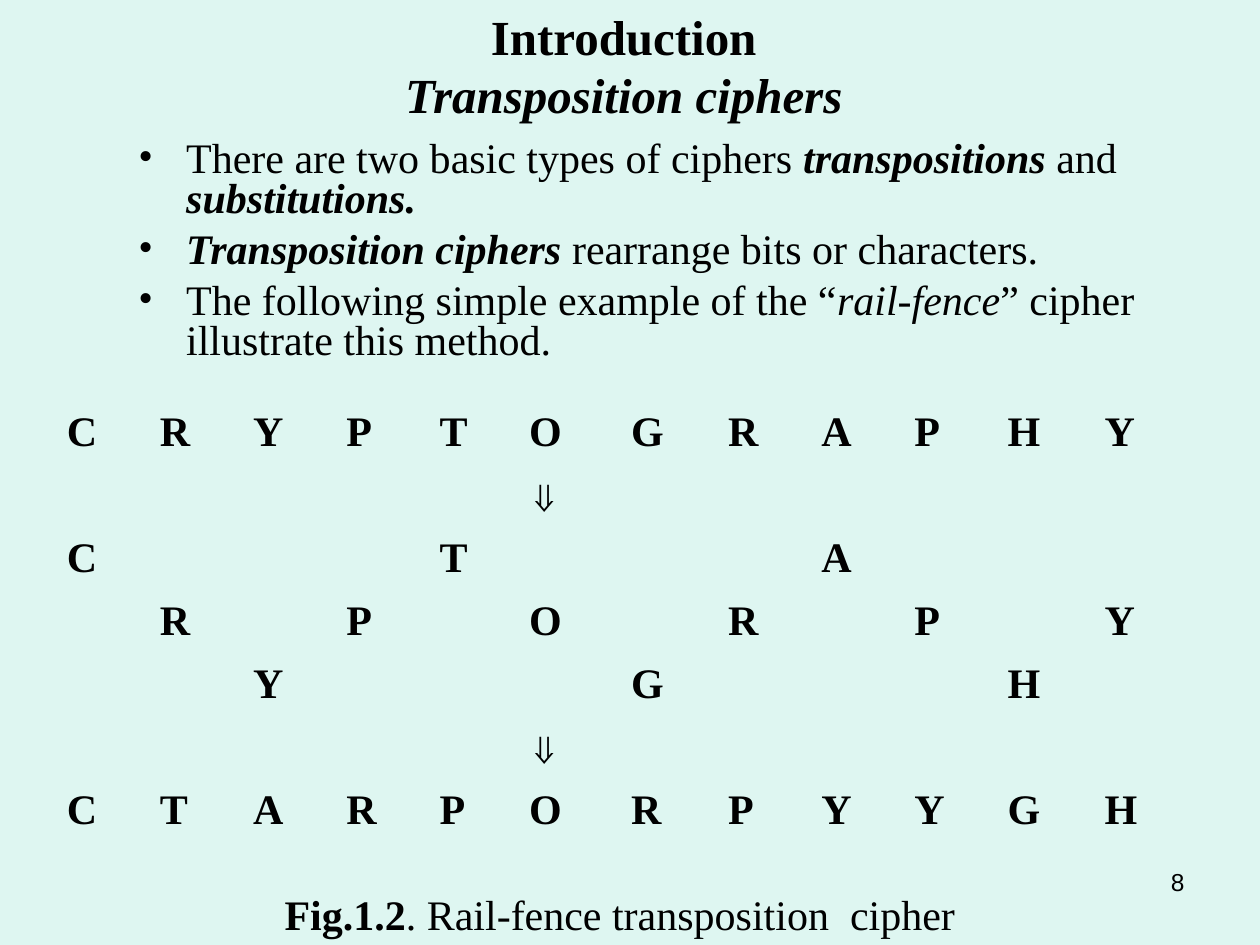
from dataclasses import dataclass

from lxml.etree import SubElement
from pptx import Presentation
from pptx.dml.color import RGBColor
from pptx.enum.text import MSO_ANCHOR, MSO_AUTO_SIZE, PP_ALIGN
from pptx.oxml.ns import qn
from pptx.util import Inches, Pt

BLACK = RGBColor(0x00, 0x00, 0x00)
MINT = RGBColor(0xDE, 0xF6, 0xF1)
SERIF, SANS = "Times New Roman", "Arial"
PLAIN_GRID = "{2D5ABB26-0587-4C30-8999-92F81FD0307C}"  # no style, no grid

WORD = "CRYPTOGRAPHY"
RAILS = 3
ARROW = "⇓"
ARROW_COL = 5
WIDTHS = [0.74] * 4 + [0.71, 0.81, 0.77] + [0.74] * 3 + [0.77] * 2
ROW_H = 0.5


@dataclass
class Span:
    text: str
    bold: bool = False
    italic: bool = False


@dataclass
class Box:
    left: float
    top: float
    width: float
    height: float


BULLETS = [
    [Span("There are two basic types of ciphers "),
     Span("transpositions", True, True), Span(" and "),
     Span("substitutions.", True, True)],
    [Span("Transposition ciphers ", True, True),
     Span("rearrange bits or characters.")],
    [Span("The following simple example of the “"),
     Span("rail-fence", italic=True),
     Span("” cipher illustrate this method.")],
]


def set_font(para, size: float, name: str = SERIF) -> None:
    para.font.size = Pt(size)
    para.font.name = name
    para.font.color.rgb = BLACK


def add_spans(para, spans: list[Span], size: float, name: str = SERIF) -> None:
    set_font(para, size, name)
    for span in spans:
        run = para.add_run()
        run.text = span.text
        run.font.bold = span.bold
        run.font.italic = span.italic


def add_frame(slide, box: Box, wrap: bool = True):
    shape = slide.shapes.add_textbox(Inches(box.left), Inches(box.top),
                                     Inches(box.width), Inches(box.height))
    frame = shape.text_frame
    frame.word_wrap = wrap
    frame.auto_size = MSO_AUTO_SIZE.NONE
    return frame


def add_bullet(para) -> None:
    props = para._p.get_or_add_pPr()
    props.set("marL", str(Inches(0.38)))
    props.set("indent", str(Inches(-0.38)))
    color = SubElement(props, qn("a:buClr"))
    SubElement(color, qn("a:srgbClr")).set("val", str(BLACK))
    SubElement(props, qn("a:buFont")).set("typeface", SERIF)
    SubElement(props, qn("a:buChar")).set("char", "•")


def add_title(slide) -> None:
    para = add_frame(slide, Box(3.11, 0, 3.68, 1.34), wrap=False).paragraphs[0]
    para.alignment = PP_ALIGN.CENTER
    add_spans(para, [Span("Introduction", True)], 28)
    para.add_line_break()
    add_spans(para, [Span("Transposition ciphers", True, True)], 28)


def add_body(slide) -> None:
    frame = add_frame(slide, Box(1, 1.07, 9, 2.13))
    for i, spans in enumerate(BULLETS):
        para = frame.add_paragraph() if i else frame.paragraphs[0]
        para.line_spacing = 0.8
        para.space_before = Pt(6)
        add_bullet(para)
        add_spans(para, spans, 24)


def fence_rows() -> list[str]:
    """Rows of the figure: word, arrow, zigzag rails, arrow, cipher text."""
    cycle = 2 * (RAILS - 1)
    turns = [min(i % cycle, cycle - i % cycle) for i in range(len(WORD))]
    rails = ["".join(c if turn == rail else " " for c, turn in zip(WORD, turns))
             for rail in range(RAILS)]
    cipher = "".join(rails).replace(" ", "")
    arrow = (" " * ARROW_COL + ARROW).ljust(len(WORD))
    return [WORD, arrow, *rails, arrow, cipher, " " * len(WORD)]


def fill_cell(cell, mark: str) -> None:
    cell.fill.background()
    para = cell.text_frame.paragraphs[0]
    set_font(para, 24, SANS if mark == ARROW else SERIF)
    if mark == " ":
        return
    para.font.bold = True
    para.add_run().text = mark
    if mark == ARROW:
        cell.vertical_anchor = MSO_ANCHOR.MIDDLE
    else:
        para.alignment = PP_ALIGN.JUSTIFY


def add_fence(slide) -> None:
    rows = fence_rows()
    table = slide.shapes.add_table(
        len(rows), len(WORD), Inches(0.43), Inches(3.2),
        Inches(sum(WIDTHS)), Inches(ROW_H * len(rows))).table
    table.first_row = table.horz_banding = False
    table._tbl.tblPr.find(qn("a:tableStyleId")).text = PLAIN_GRID
    for col, width in zip(table.columns, WIDTHS):
        col.width = Inches(width)
    for r, marks in enumerate(rows):
        table.rows[r].height = Inches(ROW_H)
        for c, mark in enumerate(marks):
            fill_cell(table.cell(r, c), mark)


def add_caption(slide) -> None:
    para = add_frame(slide, Box(2.16, 7, 6.22, 0.5)).paragraphs[0]
    para.space_before = Pt(15)
    add_spans(para, [Span("Fig.1.2", True),
                     Span(". Rail-fence transposition  cipher")], 24)


def add_number(slide) -> None:
    para = add_frame(slide, Box(7.17, 6.83, 2.33, 0.52)).paragraphs[0]
    para.alignment = PP_ALIGN.RIGHT
    add_spans(para, [Span("8")], 14, SANS)


def main() -> None:
    deck = Presentation()
    deck.slide_width, deck.slide_height = Inches(10), Inches(7.5)
    slide = deck.slides.add_slide(deck.slide_layouts[6])
    slide.background.fill.solid()
    slide.background.fill.fore_color.rgb = MINT
    add_body(slide)
    add_fence(slide)
    add_caption(slide)
    add_title(slide)
    add_number(slide)
    deck.save("out.pptx")


if __name__ == "__main__":
    main()
